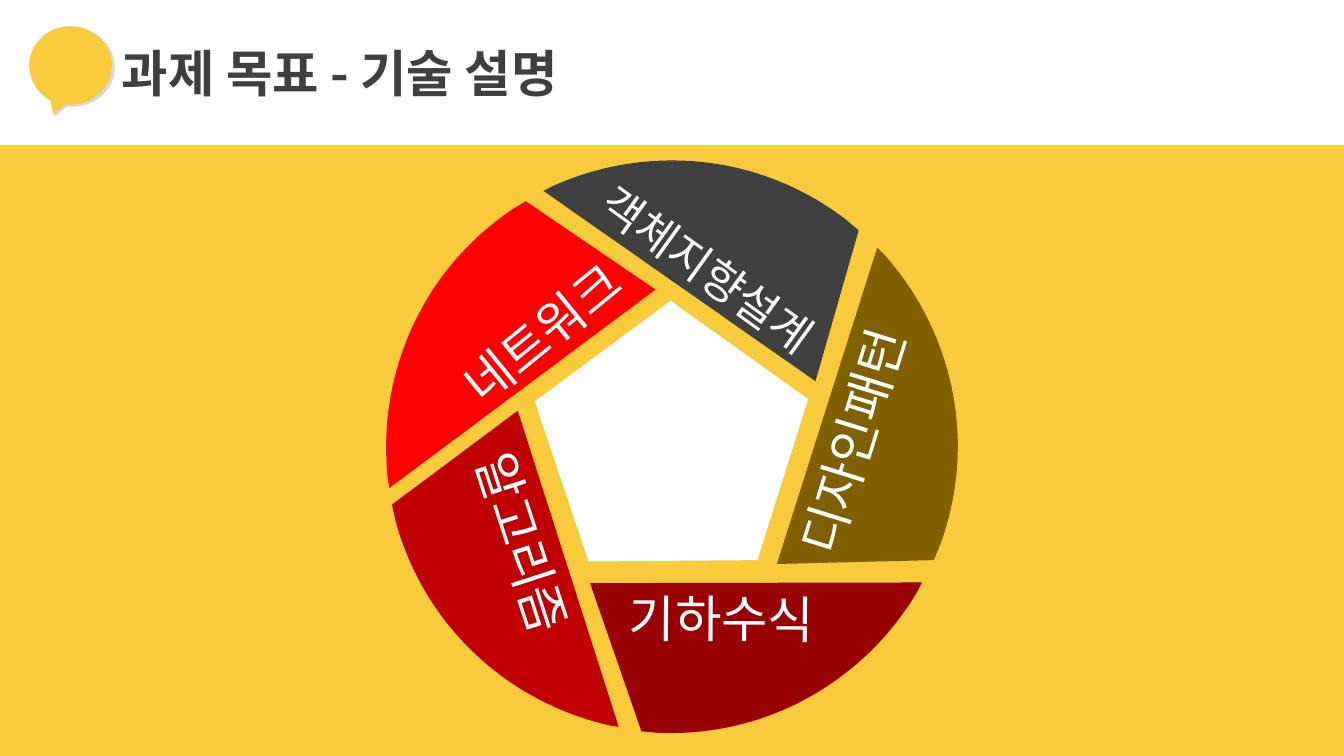
from dataclasses import dataclass

from lxml import etree
from pptx import Presentation, util as u
from pptx.dml.color import RGBColor
from pptx.enum import shapes, text
from pptx.oxml.ns import qn


@dataclass(frozen=True)
class Theme:
    font: str = "Noto Sans CJK KR"
    large: int = 36
    small: int = 32
    gold: str = "F8CB3C"
    shade: str = "D9D9D9"
    ink: str = "3F3F3F"
    white: str = "FFFFFF"
    gray: str = "404040"
    olive: str = "806000"
    maroon: str = "990000"
    crimson: str = "C00000"
    red: str = "FF0000"


def paint(shape, color, turn):
    shape.rotation = turn
    shape.shadow.inherit = False
    shape.fill.solid()
    shape.fill.fore_color.rgb = RGBColor.from_string(color)
    shape.line.fill.background()


def style(para, words, size, color, bold=False):
    para.text = words
    font = para.font
    font.size = u.Pt(size)
    font.bold = bold
    font.color.rgb = RGBColor.from_string(color)
    font.name = theme.font
    etree.SubElement(font._rPr, qn("a:ea"), typeface=theme.font)


theme = Theme()
deck = Presentation()
deck.slide_width, deck.slide_height = u.Inches(13.33), u.Inches(7.5)
slide = deck.slides.add_slide(deck.slide_layouts[5])
kind = shapes.MSO_SHAPE

for form, box, color in [
    (kind.RECTANGLE, (0, 1.44, 13.33, 6.06), theme.gold),
    (kind.OVAL_CALLOUT, (0.3, 0.28, 0.84, 0.78), theme.shade),
    (kind.OVAL_CALLOUT, (0.29, 0.26, 0.82, 0.78), theme.gold),
]:
    paint(slide.shapes.add_shape(form, *map(u.Inches, box)), color, 0)

title = slide.shapes.title
title.left, title.top = u.Inches(1.11), u.Inches(0.36)
title.width, title.height = u.Inches(4.86), u.Inches(0.71)
frame = title.text_frame
frame.auto_size = text.MSO_AUTO_SIZE.NONE
frame.vertical_anchor = text.MSO_ANCHOR.MIDDLE
para = frame.paragraphs[0]
para.alignment = text.PP_ALIGN.LEFT
style(para, "과제 목표 - 기술 설명", theme.large, theme.ink, True)

rim = [(118, 0), (187, 0), (249, 24), (299, 65)]
edge = [(311, 76), (263, 224), (0, 26), (8, 22)]
back = [(42, 8), (79, 0), (118, 0)]
wedges = [
    (3.81, 4.49, 215.3, theme.crimson),
    (5.83, 4.91, 142.9, theme.maroon),
    (5.42, 1.58, 358, theme.gray),
    (3.57, 2.47, 286.3, theme.red),
    (6.85, 3.09, 70.6, theme.olive),
]
for left, top, turn, color in wedges:
    pen = slide.shapes.build_freeform(*rim[0], scale=u.Inches(0.01))
    pen.add_line_segments(rim[1:] + edge + back, close=True)
    wedge = pen.convert_to_shape(u.Inches(left), u.Inches(top))
    lines = list(wedge._element.iter(qn("a:lnTo")))
    for curve, *rest in (lines[:3], lines[7:10]):
        curve.tag = qn("a:cubicBezTo")
        for line in rest:
            curve.append(line[0])
            line.getparent().remove(line)
    paint(wedge, color, turn)

box = map(u.Inches, (5.39, 3.23, 2.71, 2.58))
paint(slide.shapes.add_shape(kind.REGULAR_PENTAGON, *box), theme.white, 143.5)

labels = [
    ("네트워크", (4.36, 2.94, 2.06, 0.71), 320.7, theme.large),
    ("객체지향설계", (5.69, 2.36, 2.68, 0.64), 35.7, theme.small),
    ("디자인패턴", (7.2, 4.01, 2.52, 0.71), 287.3, theme.large),
    ("기하수식", (6.14, 5.78, 2.06, 0.71), 0.3, theme.large),
    ("알고리즘", (4.16, 5.04, 2.06, 0.71), 72.1, theme.large),
]
for words, box, turn, size in labels:
    label = slide.shapes.add_textbox(*map(u.Inches, box))
    label.rotation = turn
    frame = label.text_frame
    frame.word_wrap = False
    style(frame.paragraphs[0], words, size, theme.white)

deck.save("out.pptx")
